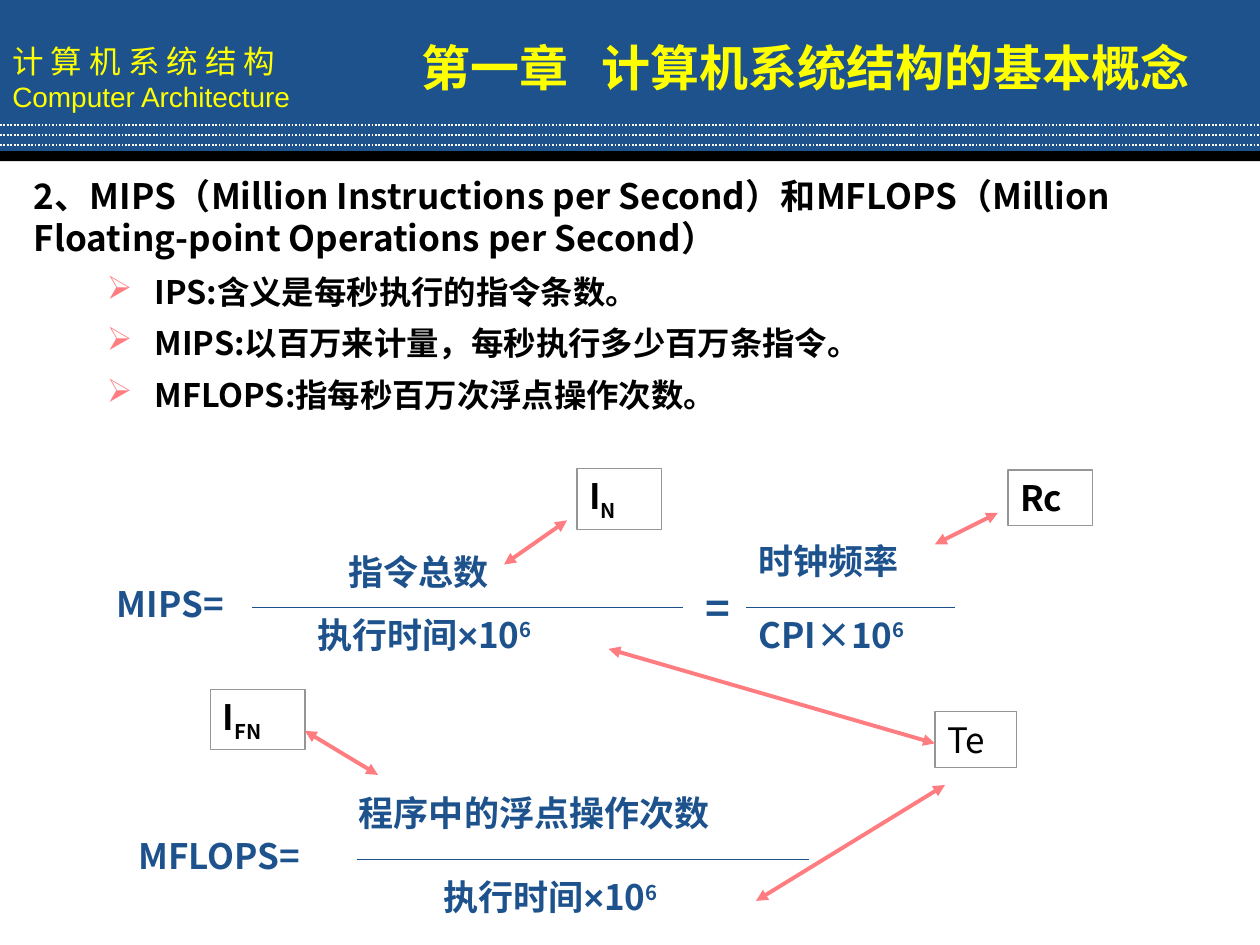
from lxml import etree
from pptx import Presentation
from pptx.dml.color import RGBColor
from pptx.enum.dml import MSO_LINE
from pptx.enum.shapes import MSO_CONNECTOR, MSO_SHAPE
from pptx.enum.text import MSO_ANCHOR, PP_ALIGN
from pptx.oxml.ns import qn
from pptx.util import Inches, Pt

RECTANGLE = MSO_SHAPE.RECTANGLE
STRAIGHT = MSO_CONNECTOR.STRAIGHT
DOTTED = MSO_LINE.ROUND_DOT
MIDDLE = MSO_ANCHOR.MIDDLE
LEFT = PP_ALIGN.LEFT

SANS = "Noto Sans CJK SC"
BLUE, BLACK, WHITE = "1D528D", "000000", "FFFFFF"
YELLOW, PINK, GREY = "FFFF00", "FF7C80", "969696"


def color(hex_value):
    return RGBColor.from_string(hex_value)


def add_span(para, text, size, hex_value, bold=True, font=SANS, baseline=0):
    span = para.add_run()
    span.text = text
    span.font.size = Pt(size)
    span.font.bold = bold
    span.font.color.rgb = color(hex_value)
    span.font.name = font
    properties = span.font._element
    etree.SubElement(properties, qn("a:ea")).set("typeface", font)
    if baseline:
        properties.set("baseline", str(baseline * 1000))


def add_text(page, left, top, width, height, anchor=None):
    box = page.shapes.add_textbox(
        Inches(left), Inches(top), Inches(width), Inches(height))
    box.text_frame.word_wrap = True
    if anchor is not None:
        box.text_frame.vertical_anchor = anchor
    return box.text_frame


def add_bar(page, top, height, fill):
    bar = page.shapes.add_shape(
        RECTANGLE, 0, Inches(top), Inches(10), Inches(height))
    bar.shadow.inherit = False
    bar.fill.solid()
    bar.fill.fore_color.rgb = color(fill)
    bar.line.fill.background()
    return bar


def add_line(page, start, end, hex_value, width):
    line = page.shapes.add_connector(
        STRAIGHT, *(Inches(value) for value in (*start, *end)))
    line.line.color.rgb = color(hex_value)
    line.line.width = Pt(width)
    etree.SubElement(line._element.spPr, qn("a:effectLst"))
    return line


def add_double_arrow(page, start, end):
    outline = add_line(page, start, end, PINK, 2.25).line._get_or_add_ln()
    for tag in ("a:headEnd", "a:tailEnd"):
        etree.SubElement(outline, qn(tag)).set("type", "triangle")


def add_term(page, left, top, width, text, power="", times=False, size=20):
    """One part of a formula, with an optional ×10 and its exponent."""
    para = add_text(page, left, top, width, size * 0.02 + 0.04).paragraphs[0]
    add_span(para, text, size, BLUE)
    if times:
        add_span(para, "×", size, BLUE, font="Arial")
        add_span(para, "10", size, BLUE)
    if power:
        add_span(para, power, size, BLUE, baseline=30)


def add_symbol(page, left, top, width, text, subscript="", bold=True):
    height = 0.48 if subscript else 0.44
    box = page.shapes.add_shape(
        RECTANGLE, Inches(left), Inches(top), Inches(width), Inches(height))
    box.shadow.inherit = False
    box.fill.background()
    box.line.color.rgb = color(GREY)
    box.line.width = Pt(0.75)
    box.text_frame.vertical_anchor = MSO_ANCHOR.TOP
    para = box.text_frame.paragraphs[0]
    para.alignment = LEFT
    add_span(para, text, 20, BLACK, bold)
    if subscript:
        add_span(para, subscript, 20, BLACK, bold, baseline=-25)


def add_bullets(page, items):
    frame = add_text(page, 0.75, 2.08, 8.5, 1.33)
    for index, item in enumerate(items):
        para = frame.add_paragraph() if index else frame.paragraphs[0]
        para.line_spacing = 1.1
        para.space_before = Pt(5)
        properties = para._p.get_or_add_pPr()
        properties.set("marL", str(Inches(0.38)))
        properties.set("indent", str(-Inches(0.38)))
        bullet_color = etree.SubElement(properties, qn("a:buClr"))
        etree.SubElement(bullet_color, qn("a:srgbClr")).set("val", PINK)
        etree.SubElement(properties, qn("a:buChar")).set("char", "➢")
        add_span(para, item, 18.5, BLACK)


def add_header(page):
    frame = add_bar(page, 0, 1.23, BLUE).text_frame
    frame.vertical_anchor = MIDDLE
    for para, text, size, font in (
            (frame.paragraphs[0], "计 算 机 系 统 结 构", 18, SANS),
            (frame.add_paragraph(), "Computer Architecture", 16, "Arial")):
        para.alignment = LEFT
        add_span(para, text, size, YELLOW, False, font)
    add_bar(page, 1.2, 0.08, BLACK)
    for y in (0.99, 1.07, 1.15):
        add_line(page, (0, y), (10, y), WHITE, 1).line.dash_style = DOTTED
    chapter = add_text(page, 3.25, 0.25, 6.67, 0.57).paragraphs[0]
    add_span(chapter, "第一章   计算机系统结构的基本概念", 28, YELLOW)


def main():
    deck = Presentation()
    deck.slide_width, deck.slide_height = Inches(10), Inches(7.5)
    page = deck.slides.add_slide(deck.slide_layouts[6])

    add_header(page)

    # Heading and definitions
    heading = add_text(page, 0.17, 1.33, 9.75, 0.77, MIDDLE).paragraphs[0]
    add_span(heading, "2、MIPS（Million Instructions per Second）和MFLOPS"
             "（Million Floating-point Operations per Second）", 20, BLACK)
    add_bullets(page, ("IPS:含义是每秒执行的指令条数。",
                       "MIPS:以百万来计量，每秒执行多少百万条指令。",
                       "MFLOPS:指每秒百万次浮点操作次数。"))

    # MIPS formula
    add_term(page, 0.83, 4.57, 1.33, "MIPS=")
    add_term(page, 2.67, 4.32, 1.67, "指令总数")
    add_term(page, 2.42, 4.82, 3.25, "执行时间", "6", times=True)
    add_term(page, 5.5, 4.57, 0.33, "=", size=24)
    add_term(page, 5.92, 4.23, 2, "时钟频率")
    add_term(page, 5.92, 4.82, 2.5, "CPI×10", "6")

    # MFLOPS formula
    add_term(page, 1, 6.57, 2.08, "MFLOPS=")
    add_term(page, 2.75, 6.23, 3.75, "程序中的浮点操作次数")
    add_term(page, 3.42, 6.9, 2.58, "执行时间", "6", times=True)

    # Fraction bars
    for left, right, y in ((2, 5.42, 4.82), (5.92, 7.58, 4.82),
                           (2.83, 6.42, 6.82)):
        add_line(page, (left, y), (right, y), BLUE, 0.75)

    # Symbols and the arrows to the terms they stand for
    add_symbol(page, 4.58, 3.72, 0.67, "I", "N")
    add_symbol(page, 8, 3.73, 0.67, "Rc")
    add_symbol(page, 1.67, 5.47, 0.75, "I", "FN")
    add_symbol(page, 7.42, 5.65, 0.65, "Te", bold=False)
    for start, end in (((4, 4.48), (4.5, 4.13)),
                       ((7.42, 4.32), (7.92, 4.07)),
                       ((2.42, 5.8), (3, 6.15)),
                       ((4.83, 5.15), (7.42, 5.9)),
                       ((6, 7.15), (7.5, 6.23))):
        add_double_arrow(page, start, end)

    deck.save("out.pptx")


if __name__ == "__main__":
    main()
